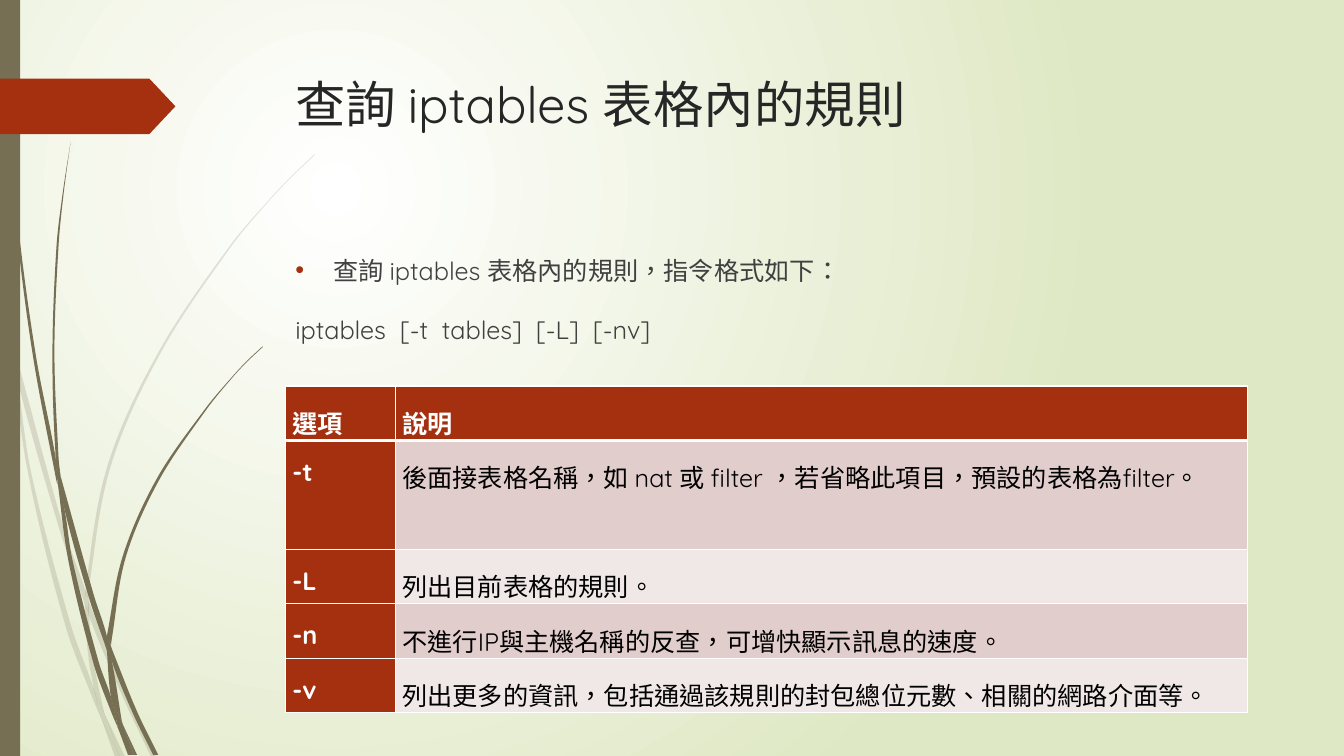
from lxml import etree
from pptx import Presentation
from pptx.dml.color import RGBColor
from pptx.enum.shapes import MSO_SHAPE
from pptx.enum.text import MSO_ANCHOR, MSO_AUTO_SIZE, PP_ALIGN
from pptx.oxml.ns import qn
from pptx.util import Inches, Pt

RECTANGLE, PENTAGON = MSO_SHAPE.RECTANGLE, MSO_SHAPE.PENTAGON
TOP, LEFT, NO_FIT = MSO_ANCHOR.TOP, PP_ALIGN.LEFT, MSO_AUTO_SIZE.NONE

THEME = {
    "font": "Quicksand", "language": "zh-TW", "title_size": 36, "text_size": 18,
    "title": "262626", "body": "404040", "cell": "000000",
    "white": "FFFFFF", "green": "DFE8C4", "stem": "766F54",
    "accent": "A53010", "bands": ("E1CDCC", "F0E8E7"),
}
WIDTH, HEIGHT = 13.33, 7.5
MARGIN, CONTENT_WIDTH = 2.83, 9.75
ROW = 0.54

PALE_BLADES = [
    ([(0, 2.82), (0.09, 3.22), (0.11, 3.5)], [(0, 2.99), (0.1, 3.44), (0.11, 3.5)]),
    ([(0.14, 3.45), (0.62, 5.2), (0.85, 5.86)],
     [(0.14, 3.45), (0.17, 3.76), (0.58, 5.22), (0.84, 5.99)]),
    ([(0.88, 5.96), (0.92, 6.07), (1.27, 6.92), (1.55, 7.51)],
     [(0.88, 5.96), (0.88, 6.1), (1.23, 6.94), (1.5, 7.51)]),
    ([(1.05, 7.11), (1.24, 7.51)], [(1.05, 7.11), (1.19, 7.51)]),
    ([(0.11, 3.5), (0.17, 3.76), (0.31, 4.69), (0.7, 6.19), (0.93, 6.83), (0.99, 7.07), (1.01, 7.14)],
     [(0.11, 3.5), (0.28, 4.7), (0.65, 6.21), (0.92, 6.93), (1.01, 7.14)]),
    ([(0.84, 5.99), (0.88, 6.08), (0.91, 6.46), (1.03, 7.06), (1.05, 7.11)],
     [(0.84, 5.99), (0.87, 6.46), (0.93, 6.83), (0.96, 6.92), (1.05, 7.11)]),
    ([(3.12, 1.53), (2.89, 1.75), (2.68, 1.97), (2.28, 2.44), (1.58, 3.48), (1.07, 4.61),
      (0.85, 5.84), (0.88, 5.96)],
     [(3.12, 1.54), (2.9, 1.75), (2.68, 1.98), (2.29, 2.45), (1.6, 3.49), (1.1, 4.62),
      (0.88, 5.84), (0.88, 5.96)]),
    ([(1.01, 7.14), (1.14, 7.51)], [(1.01, 7.14), (1.19, 7.51)]),
    ([(0.85, 5.86), (0.84, 5.99), (0.88, 6.08)], [(0.85, 5.86), (0.88, 5.96), (0.88, 6.1)]),
    ([(0.93, 6.83), (0.99, 7.07), (1.01, 7.14), (1.19, 7.51)],
     [(0.93, 6.83), (0.96, 6.92), (1.05, 7.11), (1.19, 7.51)]),
]
DARK_BLADES = [
    ([(0.03, 0), (0.04, 0.48), (0.07, 1.1), (0.17, 2.33), (0.33, 3.55), (0.56, 4.77), (0.57, 4.81)],
     [(0.04, 0), (0.05, 0.48), (0.08, 1.09), (0.19, 2.32), (0.36, 3.55), (0.55, 4.53), (0.57, 4.81)]),
    ([(0.6, 4.72), (0.93, 5.9), (1.06, 6.31), (1.06, 6.45)],
     [(0.6, 4.72), (0.64, 5.05), (0.88, 5.92), (1.06, 6.45)]),
    ([(1.1, 6.41), (1.13, 6.49), (1.36, 7.06), (1.57, 7.49)],
     [(1.1, 6.41), (1.11, 6.56), (1.32, 7.08), (1.52, 7.49)]),
    ([(0.57, 4.77), (0.64, 5.05), (0.72, 5.56), (0.98, 6.57), (1.1, 6.91), (1.16, 7.17), (1.17, 7.22)],
     [(0.57, 4.77), (0.68, 5.57), (0.93, 6.59), (1.11, 7.08), (1.17, 7.22)]),
    ([(0.7, 1.41), (0.62, 1.93), (0.56, 2.45), (0.52, 3.49), (0.55, 4.49), (0.6, 4.72)],
     [(0.7, 1.41), (0.63, 1.93), (0.58, 2.45), (0.54, 3.49), (0.58, 4.53), (0.6, 4.72)]),
    ([(1.22, 7.19), (1.36, 7.49)], [(1.22, 7.19), (1.33, 7.49)]),
    ([(0.55, 4.49), (0.6, 4.72), (0.64, 5.05)], [(0.55, 4.49), (0.57, 4.77), (0.64, 5.05)]),
    ([(2.6, 3.44), (2.45, 3.58), (2.31, 3.73), (2.04, 4.05), (1.56, 4.74), (1.22, 5.51), (1.06, 6.31)],
     [(2.61, 3.44), (2.45, 3.59), (2.31, 3.74), (2.05, 4.06), (1.58, 4.76), (1.25, 5.52),
      (1.11, 6.33), (1.1, 6.41)]),
    ([(1.17, 7.22), (1.27, 7.49)], [(1.17, 7.22), (1.31, 7.49)]),
    ([(1.06, 6.45), (1.1, 6.91), (1.16, 7.06), (1.22, 7.19)],
     [(1.06, 6.45), (1.11, 6.56), (1.21, 7.16), (1.22, 7.19)]),
    ([(1.06, 6.31), (1.06, 6.45), (1.11, 6.56)], [(1.06, 6.31), (1.1, 6.41), (1.11, 6.56)]),
    ([(1.1, 6.91), (1.16, 7.17), (1.17, 7.22), (1.3, 7.49)],
     [(1.1, 6.91), (1.16, 7.06), (1.22, 7.19), (1.33, 7.49)]),
]
OPTIONS = [
    ("選項", "說明"),
    ("-t", "後面接表格名稱，如 nat 或 filter ，若省略此項目，預設的表格為filter。"),
    ("-L", "列出目前表格的規則。"),
    ("-n", "不進行IP與主機名稱的反查，可增快顯示訊息的速度。"),
    ("-v", "列出更多的資訊，包括通過該規則的封包總位元數、相關的網路介面等。"),
]


def with_slopes(edge):
    knots = []
    for i, (x, y) in enumerate(edge):
        (x0, y0), (x1, y1) = edge[max(i - 1, 0)], edge[min(i + 1, len(edge) - 1)]
        knots.append((x, y, (x1 - x0) / (y1 - y0)))
    return knots


def add_span(para, text, size, color, bold=False):
    span = para.add_run()
    span.text = text
    span.font.name = THEME["font"]
    span.font.size = Pt(size)
    span.font.bold = bold
    span.font.color.rgb = RGBColor.from_string(color)
    span._r.get_or_add_rPr().set("lang", THEME["language"])


deck = Presentation()
deck.slide_width, deck.slide_height = Inches(WIDTH), Inches(HEIGHT)
page = deck.slides.add_slide(deck.slide_layouts[5])

backdrop = page.background.fill
backdrop.gradient()
for place, color in enumerate((THEME["white"], THEME["green"])):
    stop = backdrop.gradient_stops[place]
    stop.color.rgb = RGBColor.from_string(color)
    stop.position = place
linear = page.background._cSld.find(".//" + qn("a:lin"))
circle = etree.Element(qn("a:path"), path="circle")
etree.SubElement(circle, qn("a:fillToRect"), l="50000", t="50000", r="100000", b="100000")
linear.getparent().replace(linear, circle)

for blades, alpha in ((PALE_BLADES, 20), (DARK_BLADES, 100)):
    for front, back in blades:
        knots = with_slopes(front) + with_slopes(back)[::-1]
        corners = [(Inches(x), Inches(y)) for x, y, slope in knots]
        builder = page.shapes.build_freeform(*corners[0], scale=1.0)
        builder.add_line_segments(corners[1:], close=True)
        blade = builder.convert_to_shape()
        segments = blade._element.spPr.findall(".//" + qn("a:lnTo"))
        for segment, (x0, y0, s0), (x1, y1, s1) in zip(segments, knots, knots[1:]):
            third = (y1 - y0) / 3
            curve = etree.Element(qn("a:cubicBezTo"))
            for x, y in ((x0 + s0 * third, y0 + third), (x1 - s1 * third, y1 - third), (x1, y1)):
                etree.SubElement(curve, qn("a:pt"), x=str(Inches(x) - blade.left),
                                 y=str(Inches(y) - blade.top))
            segment.getparent().replace(segment, curve)
        blade.shadow.inherit = False
        blade.line.fill.background()
        blade.fill.solid()
        blade.fill.fore_color.rgb = RGBColor.from_string(THEME["stem"])
        if alpha < 100:
            tint = blade._element.spPr.find(".//" + qn("a:srgbClr"))
            etree.SubElement(tint, qn("a:alpha"), val=str(alpha * 1000))

for kind, top, width, height, color in (
    (RECTANGLE, 0, 0.2, HEIGHT, THEME["stem"]),
    (PENTAGON, 0.78, 1.74, 0.55, THEME["accent"]),
):
    band = page.shapes.add_shape(kind, 0, Inches(top), Inches(width), Inches(height))
    band.shadow.inherit = False
    band.line.fill.background()
    band.fill.solid()
    band.fill.fore_color.rgb = RGBColor.from_string(color)
    if kind == PENTAGON:
        band.adjustments[0] = 0.47

title = page.shapes.title
page.shapes._spTree.append(title._element)
title.left, title.top = Inches(MARGIN), Inches(0.68)
title.width, title.height = Inches(CONTENT_WIDTH), Inches(1.4)
title.text_frame.vertical_anchor = TOP
title.text_frame.auto_size = NO_FIT
title.text_frame.word_wrap = True
para = title.text_frame.paragraphs[0]
para.alignment = LEFT
add_span(para, "查詢 iptables 表格內的規則", THEME["title_size"], THEME["title"])

box = page.shapes.add_textbox(Inches(MARGIN), Inches(2.33), Inches(CONTENT_WIDTH), Inches(4.13))
box.text_frame.word_wrap = True
intro = box.text_frame.paragraphs[0]
syntax = box.text_frame.add_paragraph()
for para, text in (
    (intro, "查詢 iptables 表格內的規則，指令格式如下："),
    (syntax, "iptables  [-t  tables]  [-L]  [-nv]"),
):
    para.line_spacing = 1.5
    para.space_before = Pt(10)
    add_span(para, text, THEME["text_size"], THEME["body"])
properties = intro._p.get_or_add_pPr()
properties.set("marL", str(Inches(0.38)))
properties.set("indent", str(-Inches(0.38)))
bullet_color = etree.SubElement(properties, qn("a:buClr"))
etree.SubElement(bullet_color, qn("a:srgbClr"), val=THEME["accent"])
etree.SubElement(properties, qn("a:buFont"), typeface="Arial")
etree.SubElement(properties, qn("a:buChar"), char="•")

table = page.shapes.add_table(
    len(OPTIONS), 2, Inches(MARGIN), Inches(3.83), Inches(9.54), Inches(6 * ROW)
).table
for column, width in zip(table.columns, (1.09, 8.45)):
    column.width = Inches(width)
for r, option in enumerate(OPTIONS):
    table.rows[r].height = Inches(2 * ROW if r == 1 else ROW)
    for c, text in enumerate(option):
        cell = table.cell(r, c)
        heading = r == 0 or c == 0
        cell.margin_left = cell.margin_right = Inches(0.07)
        cell.margin_top = cell.margin_bottom = 0
        cell.fill.solid()
        fill = THEME["accent"] if heading else THEME["bands"][(r - 1) % 2]
        cell.fill.fore_color.rgb = RGBColor.from_string(fill)
        para = cell.text_frame.paragraphs[0]
        para.line_spacing = 1.5
        color = THEME["white"] if heading else THEME["cell"]
        add_span(para, text, THEME["text_size"], color, heading)
        for place, side in enumerate(("lnL", "lnR", "lnT", "lnB")):
            thick = (r, side) in ((0, "lnB"), (1, "lnT"))
            border = etree.Element(qn("a:" + side), w=str(Pt(3 if thick else 1)))
            paint = etree.SubElement(border, qn("a:solidFill"))
            etree.SubElement(paint, qn("a:srgbClr"), val=THEME["white"])
            cell._tc.get_or_add_tcPr().insert(place, border)

deck.save("out.pptx")
